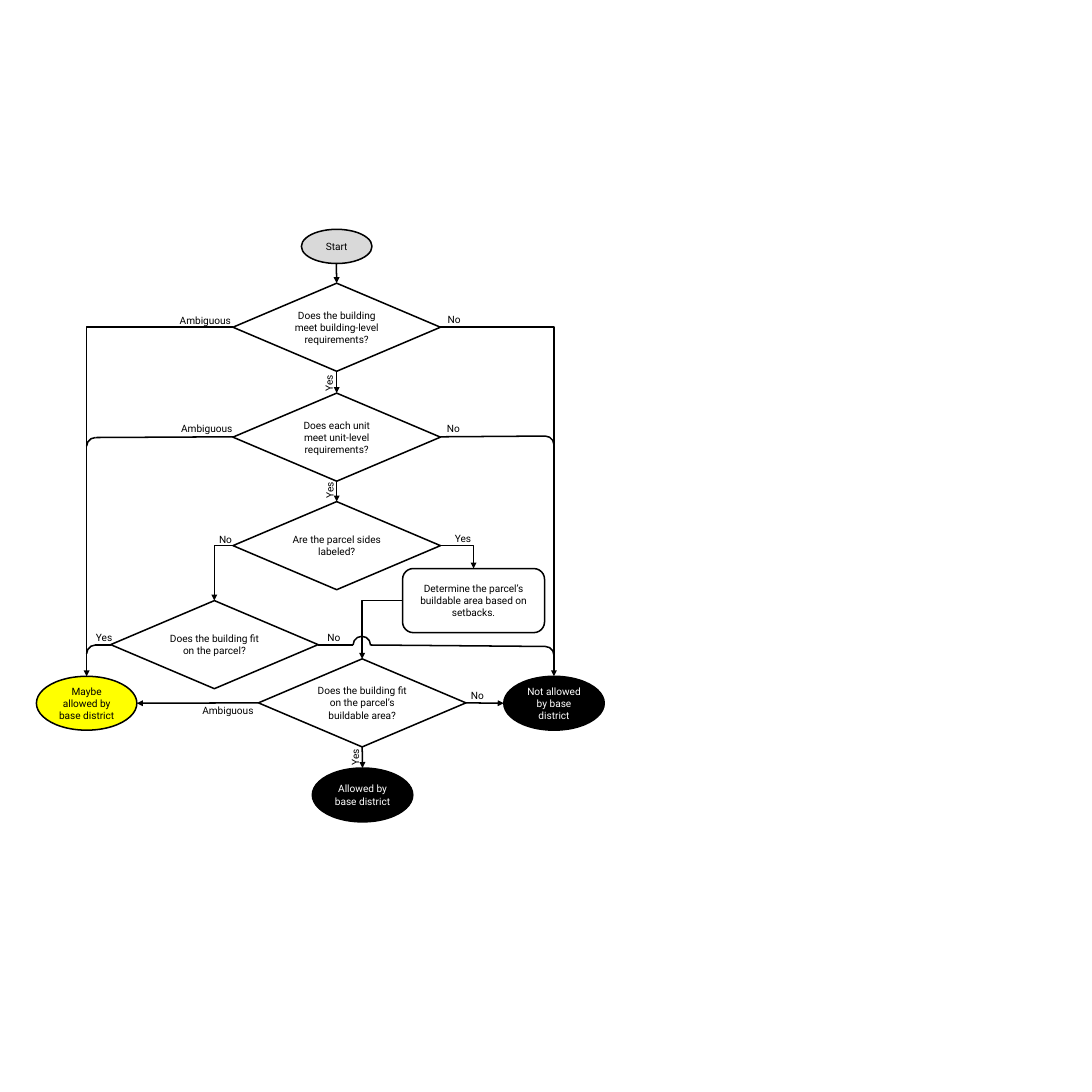
from dataclasses import dataclass

from lxml import etree
from pptx import Presentation
from pptx.dml.color import RGBColor
from pptx.enum.shapes import MSO_CONNECTOR, MSO_SHAPE
from pptx.enum.text import MSO_ANCHOR, MSO_AUTO_SIZE, PP_ALIGN
from pptx.oxml.ns import qn
from pptx.util import Inches, Pt

BLACK = RGBColor(0x00, 0x00, 0x00)
WHITE = RGBColor(0xFF, 0xFF, 0xFF)
GRAY = RGBColor(0xD9, 0xD9, 0xD9)
YELLOW = RGBColor(0xFF, 0xFF, 0x00)

DECISION = MSO_SHAPE.FLOWCHART_DECISION
TERMINAL = MSO_SHAPE.FLOWCHART_CONNECTOR
PROCESS = MSO_SHAPE.ROUNDED_RECTANGLE
ARC = MSO_SHAPE.ARC
STRAIGHT = MSO_CONNECTOR.STRAIGHT
ELBOW = MSO_CONNECTOR.ELBOW

FONT = "Roboto"
TEXT_SIZE = Pt(10)
LINE_WIDTH = Pt(1.5)
DECISION_SIZE = (2.85, 1.21)
OUTCOME_SIZE = (1.38, 0.74)
LABEL_HEIGHT = 0.27
ARC_SIZE = 0.24
MAIN_X = 3.2
MAYBE_X, NOT_ALLOWED_X = 1.19, 7.61
TOP, LEFT, BOTTOM, RIGHT = range(4)


@dataclass
class Step:
    key: str
    text: str
    left: float
    top: float
    size: tuple[float, float] = DECISION_SIZE
    kind: int = DECISION
    fill: RGBColor | None = None
    color: RGBColor = BLACK


@dataclass
class Flow:
    """An arrow; an end is a (step, site) pair or a point in inches."""
    start: tuple
    end: tuple
    kind: int = STRAIGHT


@dataclass
class Label:
    text: str
    left: float
    top: float
    width: float = 0.99
    rotation: int = 0


@dataclass
class Bend:
    left: float
    top: float
    rotation: int = 0
    end_angle: float | None = None


STEPS = [
    Step("start", "Start", 4.14, 3.15, (0.97, 0.47), TERMINAL, GRAY),
    Step("building", "Does the building meet building-level requirements?", MAIN_X, 3.89),
    Step("unit", "Does each unit meet unit-level requirements?", MAIN_X, 5.4),
    Step("sides", "Are the parcel sides labeled?", MAIN_X, 6.89),
    Step("parcel", "Does the building fit on the parcel?", 1.52, 8.25),
    Step("area", "Does the building fit on the parcel’s buildable area?", 3.55, 9.05),
    Step("setbacks", "Determine the parcel’s buildable area based on setbacks.",
         5.53, 7.81, (1.95, 0.88), PROCESS),
    Step("maybe", "Maybe allowed by base district", 0.5, 9.29, OUTCOME_SIZE, TERMINAL, YELLOW),
    Step("allowed", "Allowed by base district", 4.29, 10.55,
         OUTCOME_SIZE, TERMINAL, BLACK, WHITE),
    Step("not allowed", "Not allowed by base district", 6.92, 9.29,
         OUTCOME_SIZE, TERMINAL, BLACK, WHITE),
]

FLOWS = [
    Flow((4.62, 3.62), ("building", TOP)),
    Flow(("building", BOTTOM), ("unit", TOP)),
    Flow(("unit", BOTTOM), ("sides", TOP)),
    Flow(("area", BOTTOM), ("allowed", TOP)),
    Flow(("area", LEFT), (1.88, 9.66)),
    Flow(("area", RIGHT), (6.92, 9.66)),
    Flow(("building", LEFT), ("maybe", TOP), ELBOW),
    Flow(("building", RIGHT), ("not allowed", TOP), ELBOW),
    Flow(("sides", LEFT), ("parcel", TOP), ELBOW),
    Flow(("sides", RIGHT), ("setbacks", TOP), ELBOW),
    Flow(("setbacks", LEFT), ("area", TOP), ELBOW),
]

# Plain lines that merge into the two outer arrows
MERGES = [
    ((6.05, 6), (7.49, 5.99)),
    ((3.2, 6), (1.31, 6.01)),
    ((1.52, 8.86), (1.31, 8.86)),
    ((4.37, 8.86), (4.85, 8.86)),
    ((5.09, 8.86), (7.49, 8.88)),
]

BENDS = [
    Bend(NOT_ALLOWED_X - ARC_SIZE, 5.99),
    Bend(NOT_ALLOWED_X - ARC_SIZE, 8.88),
    Bend(MAYBE_X, 6.01, 270),
    Bend(MAYBE_X, 8.86, 270),
    Bend(4.85, 8.74, 270, 55.32),
]

LABELS = [
    Label("Ambiguous", 2.37, 4.27),
    Label("No", 6.05, 4.26),
    Label("Yes", 4.3, 5.12, 0.44, 270),
    Label("Ambiguous", 2.39, 5.76),
    Label("No", 6.04, 5.76, 0.41),
    Label("Yes", 4.31, 6.59, 0.44, 270),
    Label("No", 2.91, 7.28),
    Label("Yes", 6.15, 7.27),
    Label("Yes", 1.22, 8.63),
    Label("No", 4.4, 8.63, 0.47),
    Label("Ambiguous", 2.68, 9.63),
    Label("No", 6.37, 9.42, 0.55),
    Label("Yes", 4.66, 10.26, 0.44, 270),
]


def write(frame, text: str, color: RGBColor, align: PP_ALIGN) -> None:
    frame.word_wrap = True
    paragraph = frame.paragraphs[0]
    paragraph.alignment = align
    run = paragraph.add_run()
    run.text = text
    run.font.name = FONT
    run.font.size = TEXT_SIZE
    run.font.color.rgb = color


def outline(shape) -> None:
    shape.line.color.rgb = BLACK
    shape.line.width = LINE_WIDTH


def draw_step(shapes, step: Step):
    shape = shapes.add_shape(step.kind, Inches(step.left), Inches(step.top),
                             *map(Inches, step.size))
    shape.shadow.inherit = False
    outline(shape)
    if step.fill is None:
        shape.fill.background()
    else:
        shape.fill.solid()
        shape.fill.fore_color.rgb = step.fill
    shape.text_frame.vertical_anchor = MSO_ANCHOR.MIDDLE
    write(shape.text_frame, step.text, step.color, PP_ALIGN.CENTER)
    return shape


def draw_line(shapes, start: tuple, end: tuple, kind: int = STRAIGHT):
    line = shapes.add_connector(kind, *map(Inches, start + end))
    outline(line)
    etree.SubElement(line._element.spPr, qn("a:effectLst"))
    return line


def draw_flow(shapes, flow: Flow, steps: dict) -> None:
    glued_start, glued_end = (isinstance(end[0], str) for end in (flow.start, flow.end))
    arrow = draw_line(shapes, (0, 0) if glued_start else flow.start,
                      (0, 0) if glued_end else flow.end, flow.kind)
    if glued_start:
        arrow.begin_connect(steps[flow.start[0]], flow.start[1])
    if glued_end:
        arrow.end_connect(steps[flow.end[0]], flow.end[1])
    if flow.kind == ELBOW:
        arrow._element.spPr.find(qn("a:prstGeom")).set("prst", "bentConnector2")
    etree.SubElement(arrow.line._get_or_add_ln(), qn("a:tailEnd"), type="triangle")


def draw_bend(shapes, bend: Bend) -> None:
    arc = shapes.add_shape(ARC, Inches(bend.left), Inches(bend.top),
                           Inches(ARC_SIZE), Inches(ARC_SIZE))
    arc.shadow.inherit = False
    arc.fill.background()
    outline(arc)
    arc.rotation = bend.rotation
    if bend.end_angle is not None:
        arc.adjustments[1] = bend.end_angle


def draw_label(shapes, label: Label) -> None:
    box = shapes.add_textbox(Inches(label.left), Inches(label.top),
                             Inches(label.width), Inches(LABEL_HEIGHT))
    box.rotation = label.rotation
    write(box.text_frame, label.text, BLACK, PP_ALIGN.LEFT)
    box.text_frame.auto_size = MSO_AUTO_SIZE.SHAPE_TO_FIT_TEXT


def main() -> None:
    deck = Presentation()
    deck.slide_width = deck.slide_height = Inches(15)
    shapes = deck.slides.add_slide(deck.slide_layouts[6]).shapes
    steps = {step.key: draw_step(shapes, step) for step in STEPS}
    for flow in FLOWS:
        draw_flow(shapes, flow, steps)
    for start, end in MERGES:
        draw_line(shapes, start, end)
    for bend in BENDS:
        draw_bend(shapes, bend)
    for label in LABELS:
        draw_label(shapes, label)
    deck.save("out.pptx")


if __name__ == "__main__":
    main()
